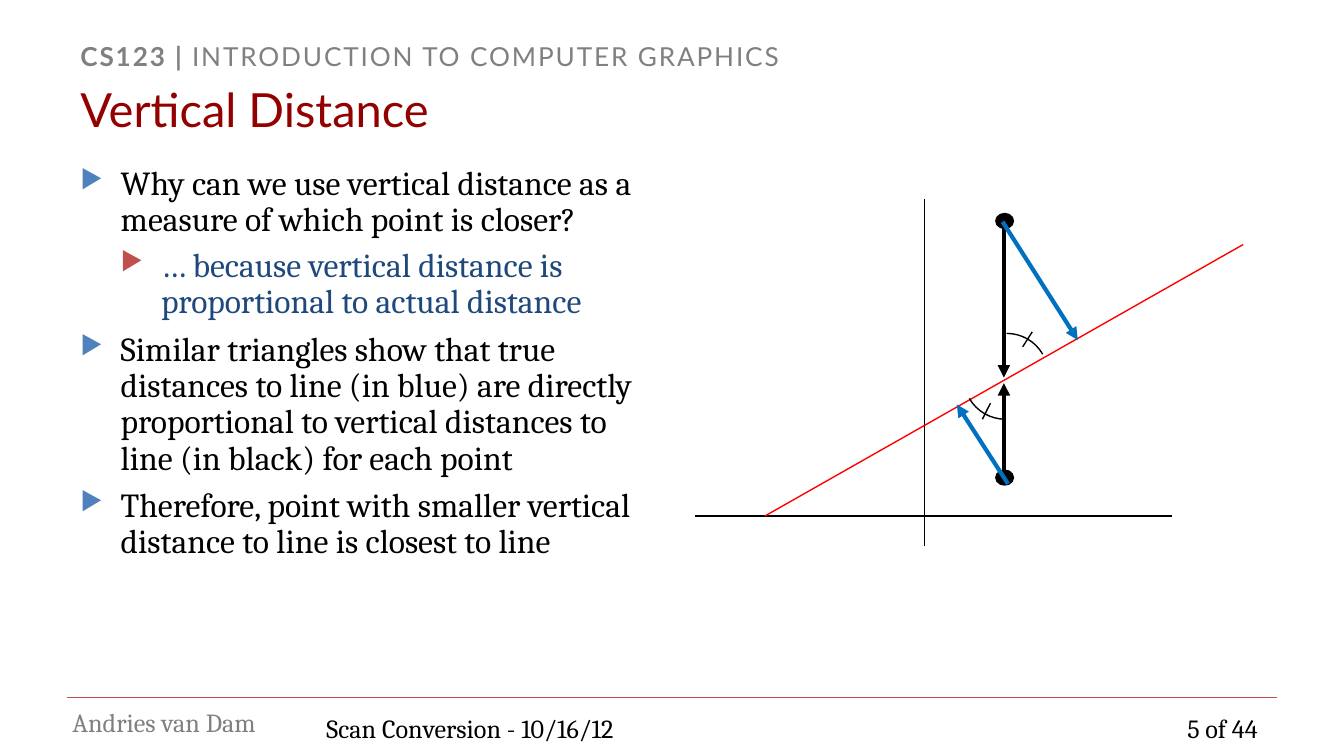
"""Build the Vertical Distance slide."""
import lxml.etree
import pptx
import pptx.dml.color
import pptx.enum.shapes
import pptx.enum.text
import pptx.oxml.ns
import pptx.util

Pt = pptx.util.Pt
SHAPE = pptx.enum.shapes.MSO_SHAPE
ALIGN = pptx.enum.text.PP_ALIGN
ANCHOR = pptx.enum.text.MSO_ANCHOR
BLACK, GREY, RED, BLUE = "000000", "808080", "FF0000", "0070C0"
TITLE = {"name": "Lato", "size": Pt(25.2)}
HEADER = {"name": "Lato", "size": Pt(14)}
FOOTER = {"name": "Cambria", "size": Pt(14)}
BODY = {"name": "Cambria", "size": Pt(18)}
LEVELS = [
    {"before": 6, "bullet": "4F81BD", "color": BLACK},
    {"before": 5, "bullet": "C0504D", "color": "1F497D"},
]
POINTS = [
    (0, "Why can we use vertical distance as a measure of which point is closer?"),
    (1, "… because vertical distance is proportional to actual distance"),
    (0, "Similar triangles show that true distances to line (in blue) are directly "
        "proportional to vertical distances to line (in black) for each point"),
    (0, "Therefore, point with smaller vertical distance to line is closest to line"),
]


def rgb(color):
    return pptx.dml.color.RGBColor.from_string(color)


def sub(parent, tag, **attrs):
    return lxml.etree.SubElement(parent, pptx.oxml.ns.qn(tag), attrs)


def add_run(p, text, color, fmt):
    r = p.add_run()
    r.text = text
    for key, value in fmt.items():
        setattr(r.font, key, value)
    r.font.color.rgb = rgb(color)
    return r


def add_box(s, *box, anchor=ANCHOR.TOP):
    tf = s.shapes.add_textbox(*map(Pt, box)).text_frame
    tf.word_wrap = True
    tf.vertical_anchor = anchor
    return tf


def add_label(s, box, text, color, fmt, align=ALIGN.LEFT, anchor=ANCHOR.TOP):
    p = add_box(s, *box, anchor=anchor).paragraphs[0]
    p.alignment = align
    add_run(p, text, color, fmt)


def add_header(s):
    p = add_box(s, 36, 18, 648, 18).paragraphs[0]
    for text, bold in (("CS123 | ", True), ("INTRODUCTION TO COMPUTER GRAPHICS", False)):
        r = add_run(p, text, GREY, {**HEADER, "bold": bold})
        r.font._element.set("spc", "100")


def add_bullets(s):
    tf = add_box(s, 36, 85.7, 311.8, 283.7)
    for i, (level, text) in enumerate(POINTS):
        style = LEVELS[level]
        p = tf.add_paragraph() if i else tf.paragraphs[0]
        p.level = level
        p.line_spacing = 0.9
        p.space_before = Pt(style["before"] if i else 0)
        pPr = p._p.get_or_add_pPr()
        pPr.set("marL", str(Pt(21.6 * (level + 1))))
        pPr.set("indent", str(Pt(-21.6)))
        sub(sub(pPr, "a:buClr"), "a:srgbClr", val=style["bullet"])
        sub(pPr, "a:buSzPct", val="76000")
        sub(pPr, "a:buChar", char="▶")
        add_run(p, text, style["color"], BODY)


def add_line(s, x1, y1, x2, y2, color=BLACK, width=0.75, arrow=False):
    kind = pptx.enum.shapes.MSO_CONNECTOR.STRAIGHT
    sp = s.shapes.add_connector(kind, *map(Pt, (x1, y1, x2, y2)))
    sp.line.color.rgb = rgb(color)
    sp.line.width = Pt(width)
    if arrow:
        sub(sp.line._get_or_add_ln(), "a:tailEnd", type="triangle")
    sub(sp._element.spPr, "a:effectLst")


def add_round(s, kind, cx, cy, rx, ry):
    sp = s.shapes.add_shape(kind, *map(Pt, (cx - rx, cy - ry, 2 * rx, 2 * ry)))
    sp.shadow.inherit = False
    sp.line.color.rgb = rgb(BLACK)
    sp.line.width = Pt(0.75)
    return sp


def add_dot(s, cx, cy):
    sp = add_round(s, SHAPE.OVAL, cx, cy, 4.7, 4)
    sp.fill.solid()
    sp.fill.fore_color.rgb = rgb(BLACK)


def add_angle(s, cx, cy, start):
    sp = add_round(s, SHAPE.ARC, cx, cy, 22.3, 22.3)
    sp.fill.background()
    for i, degrees in enumerate((start, start + 60)):
        sp.adjustments[i] = degrees * 0.6


def add_diagram(s):
    add_line(s, 372.2, 276.5, 627.8, 276.5)
    add_line(s, 495.4, 106.6, 495.4, 292.3)
    add_line(s, 409.7, 276.5, 666, 131, RED)
    for y in (118.4, 255.9):
        add_dot(s, 538.2, y)
    for y1, y2 in ((254.9, 205.2), (119.5, 202.3)):
        add_line(s, 537.8, y1, 537.8, y2, BLACK, 2.25, True)
    add_line(s, 537.1, 118.8, 577.4, 182.2, BLUE, 2.25, True)
    add_angle(s, 539.3, 200.9, 270)
    add_angle(s, 538.6, 202.3, 90)
    add_line(s, 526.3, 224.6, 530.6, 216)
    add_line(s, 547.9, 185.8, 553, 177.8)
    add_line(s, 540, 259.2, 512.6, 216.7, BLUE, 2.25, True)


def add_footer(s):
    add_line(s, 36, 373.7, 684, 373.7, "C0504D")
    add_label(s, (31.7, 375.1, 138.2, 24.5), "Andries van Dam", GREY, FOOTER)
    add_label(s, (167.8, 378, 414, 18.7), "Scan Conversion - 10/16/12", BLACK, FOOTER)
    add_label(s, (588.2, 378, 95.8, 18.7), "5 of 44 ", BLACK, FOOTER, ALIGN.RIGHT)


def main():
    prs = pptx.Presentation()
    prs.slide_width, prs.slide_height = Pt(720), Pt(405)
    s = prs.slides.add_slide(prs.slide_layouts[6])
    add_header(s)
    add_label(s, (36, 40.3, 648, 36), "Vertical Distance", "920000", TITLE,
              anchor=ANCHOR.MIDDLE)
    add_bullets(s)
    add_diagram(s)
    add_footer(s)
    prs.save("out.pptx")


if __name__ == "__main__":
    main()
